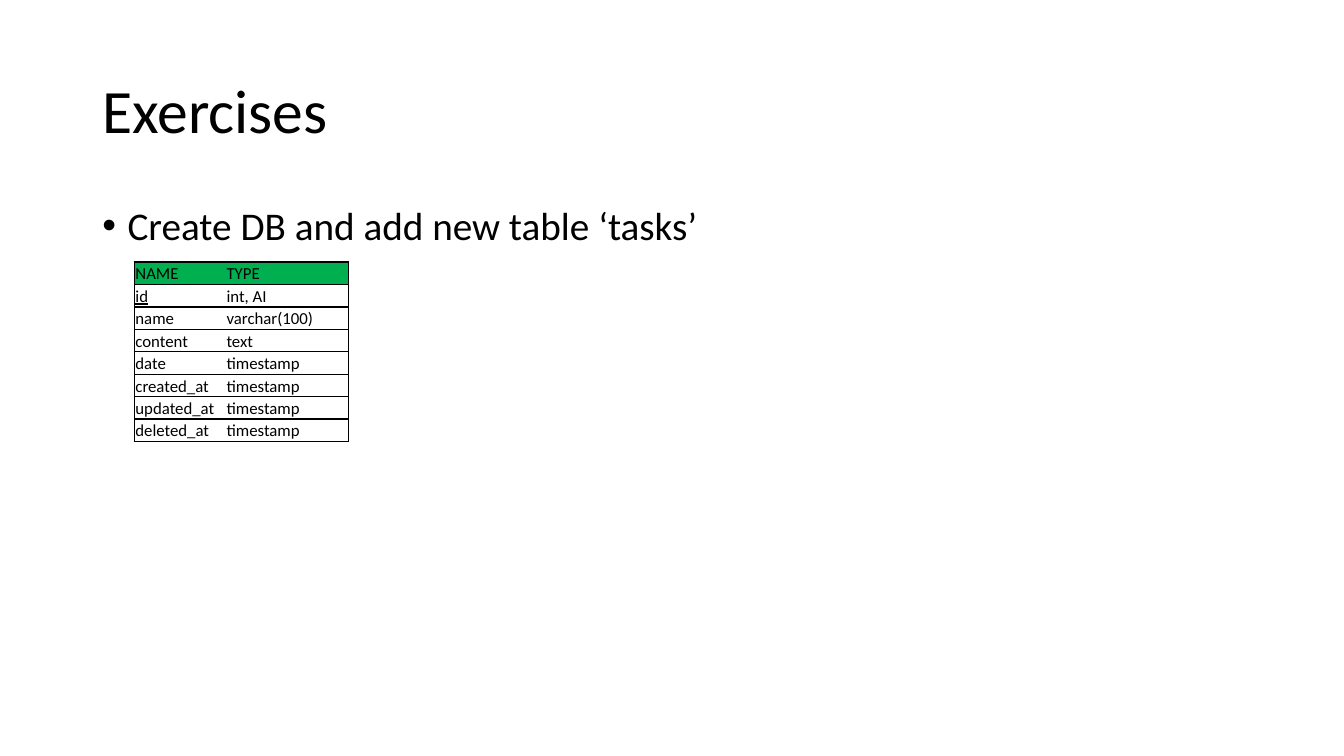
import dataclasses

import pptx
import pptx.dml.color
import pptx.enum.text
import pptx.oxml
import pptx.oxml.ns
import pptx.util

Pt = pptx.util.Pt
RGB = pptx.dml.color.RGBColor


@dataclasses.dataclass(frozen=True)
class Theme:
    font: str = "Calibri"
    ink: str = "000000"
    header: str = "00B050"
    paper: str = "FFFFFF"
    title_size: float = 44
    body_size: float = 28
    table_size: float = 12


@dataclasses.dataclass(frozen=True)
class Column:
    name: str
    type: str
    is_key: bool = False


THEME = Theme()
HEADER = Column("NAME", "TYPE")
TASK_COLUMNS = [
    Column("id", "int, AI", is_key=True),
    Column("name", "varchar(100)"),
    Column("content", "text"),
    Column("date", "timestamp"),
    Column("created_at", "timestamp"),
    Column("updated_at", "timestamp"),
    Column("deleted_at", "timestamp"),
]
COLUMN_WIDTHS = (65.1, 87.7)
ROW_HEIGHT = 16.03


def style_font(para, size: float) -> None:
    para.font.name = THEME.font
    para.font.size = Pt(size)
    para.font.color.rgb = RGB.from_string(THEME.ink)


def fill_placeholder(box, text: str, top: float, height: float, size: float):
    """Place a full-width placeholder and return its paragraph."""
    box.left, box.top, box.width, box.height = Pt(66), Pt(top), Pt(828), Pt(height)
    frame = box.text_frame
    frame.text = text
    frame.word_wrap = True
    frame.auto_size = pptx.enum.text.MSO_AUTO_SIZE.NONE
    para = frame.paragraphs[0]
    para.alignment = pptx.enum.text.PP_ALIGN.LEFT
    para.line_spacing = 0.9
    style_font(para, size)
    return para


def set_borders(cell, open_side: str) -> None:
    """Rule every side of the cell except the open one."""
    properties = cell._tc.get_or_add_tcPr()
    for side in "LRTB":
        paint = (
            "<a:noFill/>" if side == open_side
            else f'<a:solidFill><a:srgbClr val="{THEME.ink}"/></a:solidFill>'
        )
        properties.append(pptx.oxml.parse_xml(
            f'<a:ln{side} {pptx.oxml.ns.nsdecls("a")} w="{Pt(1)}">{paint}</a:ln{side}>'
        ))


def fill_cell(cell, text: str, color: str, open_side: str, underline: bool) -> None:
    cell.margin_left = cell.margin_right = cell.margin_top = Pt(0.75)
    cell.margin_bottom = Pt(0)
    cell.vertical_anchor = pptx.enum.text.MSO_ANCHOR.BOTTOM
    set_borders(cell, open_side)
    cell.fill.solid()
    cell.fill.fore_color.rgb = RGB.from_string(color)
    cell.text = text
    para = cell.text_frame.paragraphs[0]
    style_font(para, THEME.table_size)
    if underline:
        para.runs[0].font.underline = True


def add_schema_table(page, columns: list[Column]) -> None:
    rows = [HEADER, *columns]
    table = page.shapes.add_table(
        len(rows), len(COLUMN_WIDTHS), Pt(96), Pt(187.2),
        Pt(sum(COLUMN_WIDTHS)), Pt(ROW_HEIGHT * len(rows)),
    ).table
    table.first_row = table.horz_banding = False
    for index, width in enumerate(COLUMN_WIDTHS):
        table.columns[index].width = Pt(width)
    for index, row in enumerate(rows):
        table.rows[index].height = Pt(ROW_HEIGHT)
        color = THEME.header if row is HEADER else THEME.paper
        fill_cell(table.cell(index, 0), row.name, color, "R", row.is_key)
        fill_cell(table.cell(index, 1), row.type, color, "L", False)


def main() -> None:
    deck = pptx.Presentation()
    deck.slide_width, deck.slide_height = Pt(960), Pt(540)
    page = deck.slides.add_slide(deck.slide_layouts[1])

    # Title
    title = page.shapes.title
    fill_placeholder(title, "Exercises", 28.8, 104.4, THEME.title_size)
    title.text_frame.vertical_anchor = pptx.enum.text.MSO_ANCHOR.MIDDLE

    # Task list
    task = fill_placeholder(
        page.placeholders[1], "Create DB and add new table ‘tasks’",
        143.75, 342.6, THEME.body_size,
    )
    task.space_before = Pt(10)
    properties = task._p.get_or_add_pPr()
    properties.set("marL", str(Pt(18)))
    properties.set("indent", str(-Pt(18)))

    # Table schema
    add_schema_table(page, TASK_COLUMNS)

    deck.save("out.pptx")


if __name__ == "__main__":
    main()
